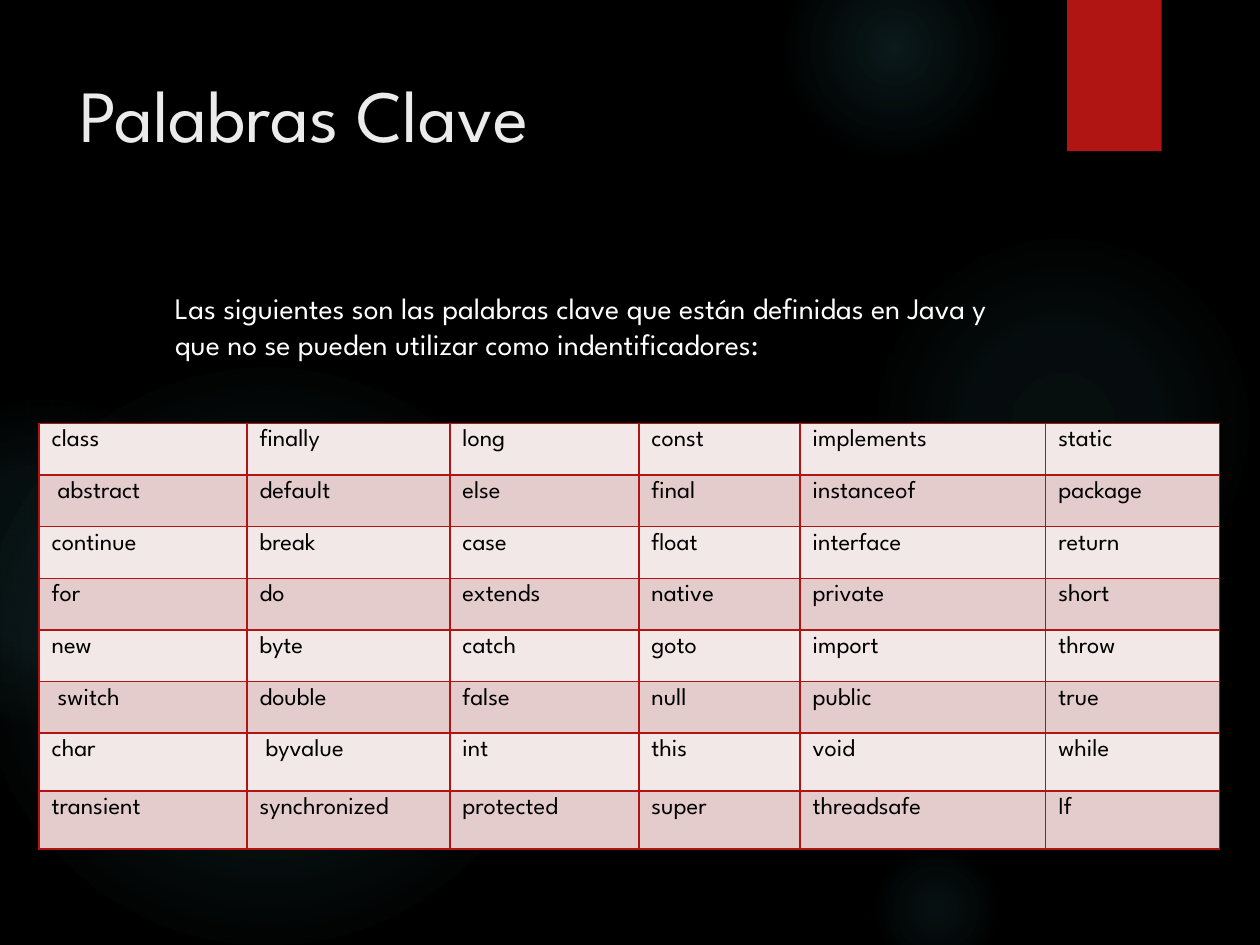
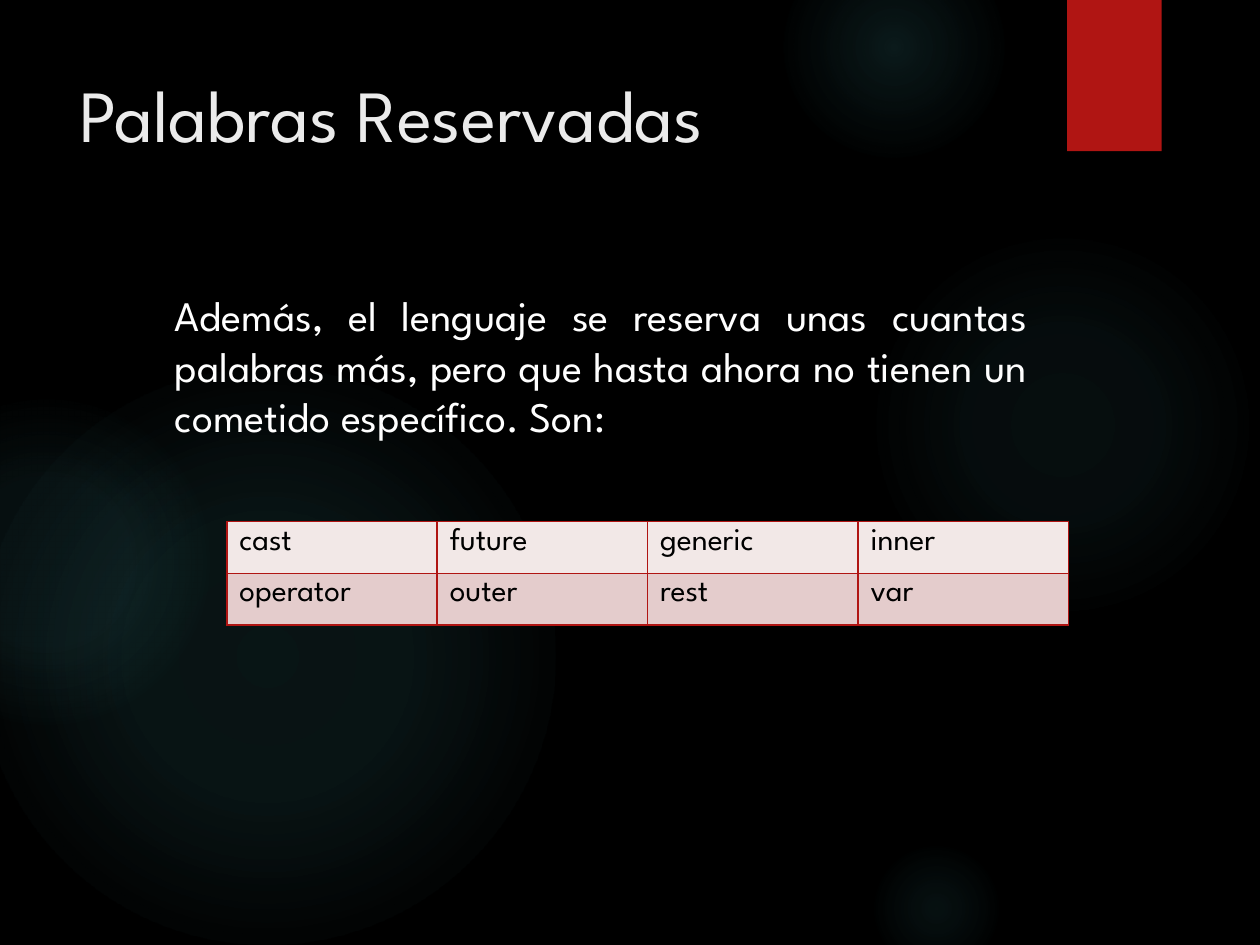
import pptx
import pptx.util
import pptx.oxml
import pptx.dml.color
import pptx.enum.shapes
import pptx.enum.text

FONT = "League Spartan"
HEX = {"back": "000000", "glow": "50B9C1", "red": "B01513", "title": "EBEBEB",
       "body": "FFFFFF", "cell": "000000", "odd": "F2E8E7", "even": "E4CCCC"}

# left, top, diameter, then (position, opacity) stops in percent
GLOWS = [
    (6.89, 1.83, 3.08, [(0, 7), (36, 6), (69, 0)]),
    (6.22, -0.5, 1.75, [(0, 14), (36, 7), (73, 0)]),
    (6.89, 6.67, 1.08, [(0, 9), (36, 5), (66, 0)]),
    (-0.17, 2.92, 4.58, [(0, 11), (36, 10), (75, 0)]),
    (-0.92, 3.17, 2.58, [(0, 8), (36, 8), (72, 0)]),
]
BAND = (8.47, 0, 0.75, 1.2)
TITLE = (0.53, 0.5, 7.72, 1.53)
BODY = (0.91, 2.25, 7.34, 4.59)

SLIDES = [
    {
        "title": "Palabras Clave",
        "body": "Las siguientes son las palabras clave que están definidas en Java y "
                "que no se pueden utilizar como indentificadores:",
        "size": 17, "align": "LEFT",
        "table": {
            "left": 0.31, "top": 3.36, "size": 14,
            "cols": [1.65, 1.61, 1.5, 1.28, 1.95, 1.38],
            "rows": [0.41] * 6 + [0.46] * 2,
            "words": [
                ["class", "finally", "long", "const", "implements", "static"],
                [" abstract", "default", "else", "final", "instanceof", "package"],
                ["continue", "break", "case", "float", "interface", "return"],
                ["for", "do", "extends", "native", "private", "short"],
                ["new", "byte", "catch", "goto", "import", "throw"],
                [" switch", "double", "false", "null", "public", "true"],
                ["char", " byvalue", "int", "this", "void", "while"],
                ["transient", "synchronized", "protected", "super", "threadsafe", "If"],
            ],
        },
    },
    {
        "title": "Palabras Reservadas",
        "body": "Además, el lenguaje se reserva unas cuantas palabras más, pero que "
                "hasta ahora no tienen un cometido específico. Son:",
        "size": 24, "align": "JUSTIFY",
        "table": {
            "left": 1.8, "top": 4.14, "size": 18,
            "cols": [1.67] * 4,
            "rows": [0.41] * 2,
            "words": [
                ["cast", "future", "generic", "inner"],
                ["operator", "outer", "rest", "var"],
            ],
        },
    },
]

NS = 'xmlns:a="http://schemas.openxmlformats.org/drawingml/2006/main"'
SHAPE = pptx.enum.shapes.MSO_SHAPE


def inch(*sizes):
    return [pptx.util.Inches(size) for size in sizes]


def paint(fill, name):
    fill.solid()
    fill.fore_color.rgb = pptx.dml.color.RGBColor.from_string(HEX[name])


def write(frame, text, size, color, align="LEFT", indent=0):
    frame.word_wrap = True
    para = frame.paragraphs[0]
    para.alignment = getattr(pptx.enum.text.PP_ALIGN, align)
    if indent:
        para._p.get_or_add_pPr().set("marL", str(pptx.util.Inches(indent)))
    run = para.add_run()
    run.text = text
    run.font.name, run.font.size = FONT, pptx.util.Pt(size)
    paint(run.font.fill, color)


def add_shape(slide, kind, box, color):
    shape = slide.shapes.add_shape(kind, *inch(*box))
    shape.shadow.inherit = False
    shape.line.fill.background()
    paint(shape.fill, color)
    return shape


def add_glow(slide, left, top, size, stops):
    """Draw a circle that fades from its centre to nothing."""
    shape = add_shape(slide, SHAPE.OVAL, (left, top, size, size), "glow")
    marks = "".join(
        f'<a:gs pos="{pos * 1000}"><a:srgbClr val="{HEX["glow"]}">'
        f'<a:alpha val="{alpha * 1000}"/></a:srgbClr></a:gs>' for pos, alpha in stops)
    grad = pptx.oxml.parse_xml(
        f'<a:gradFill {NS} rotWithShape="1"><a:gsLst>{marks}</a:gsLst><a:path path="circle">'
        '<a:fillToRect l="50000" t="50000" r="50000" b="50000"/></a:path></a:gradFill>')
    props = shape._element.spPr
    props.replace(props.find(pptx.oxml.ns.qn("a:solidFill")), grad)


def add_edges(cell):
    props = cell._tc.get_or_add_tcPr()
    for side in "LRTB":
        props.append(pptx.oxml.parse_xml(
            f'<a:ln{side} {NS} w="12700"><a:solidFill><a:srgbClr val="{HEX["red"]}"/>'
            f'</a:solidFill></a:ln{side}>'))


def add_words(slide, left, top, size, cols, rows, words):
    box = inch(left, top, sum(cols), sum(rows))
    table = slide.shapes.add_table(len(rows), len(cols), *box).table
    table.first_row = table.horz_banding = False
    for col, width in zip(table.columns, inch(*cols)):
        col.width = width
    for i, (row, height) in enumerate(zip(table.rows, inch(*rows))):
        row.height = height
        for cell, word in zip(row.cells, words[i]):
            write(cell.text_frame, word, size, "cell")
            add_edges(cell)
            paint(cell.fill, "even" if i % 2 else "odd")


def add_text(slide, box, text, **style):
    write(slide.shapes.add_textbox(*inch(*box)).text_frame, text, **style)


def add_slide(deck, page):
    slide = deck.slides.add_slide(deck.slide_layouts[6])
    paint(slide.background.fill, "back")
    for glow in GLOWS:
        add_glow(slide, *glow)
    add_shape(slide, SHAPE.RECTANGLE, BAND, "red")
    add_text(slide, TITLE, page["title"], size=42, color="title")
    add_text(slide, BODY, page["body"], size=page["size"], color="body",
             align=page["align"], indent=0.38)
    add_words(slide, **page["table"])


def main():
    deck = pptx.Presentation()
    deck.slide_width, deck.slide_height = inch(10, 7.5)
    for page in SLIDES:
        add_slide(deck, page)
    deck.save("out.pptx")


if __name__ == "__main__":
    main()
